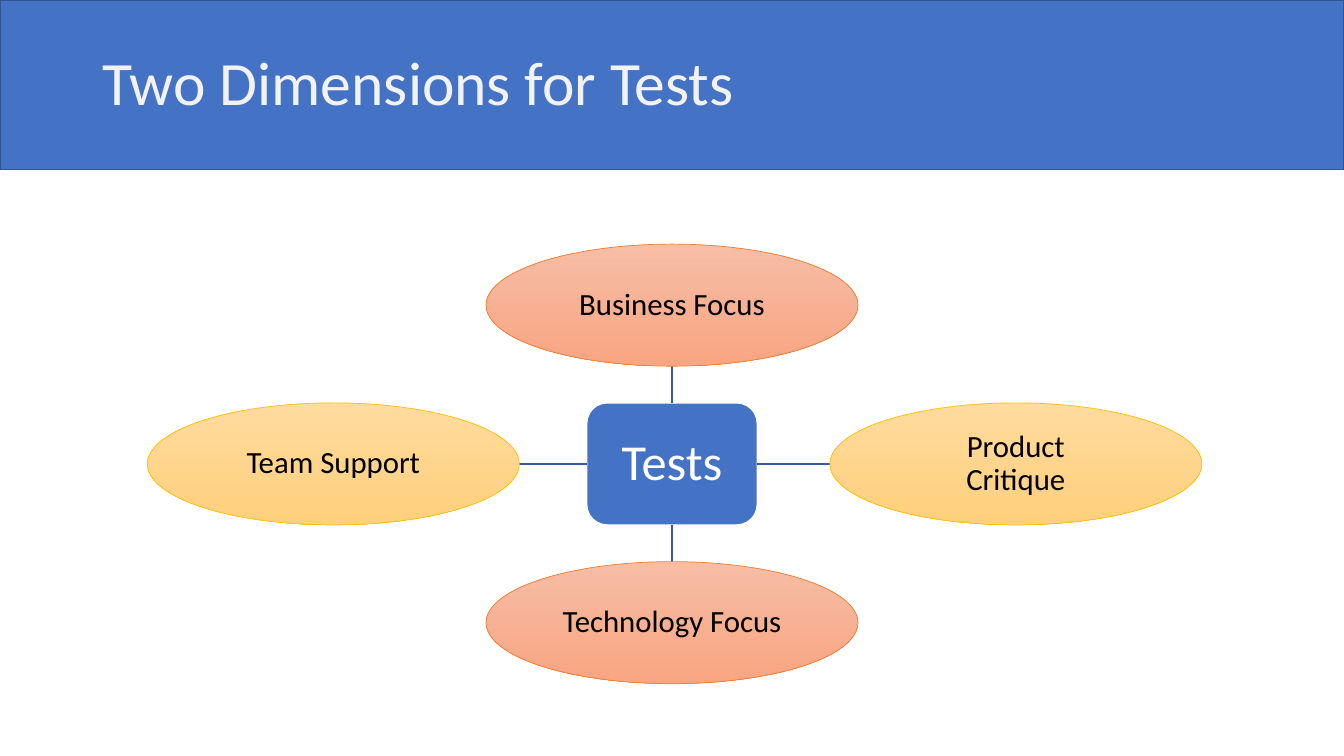
from lxml import etree
from pptx import Presentation
from pptx.dml.color import RGBColor
from pptx.enum.shapes import MSO_CONNECTOR, MSO_SHAPE
from pptx.enum.text import MSO_ANCHOR, PP_ALIGN
from pptx.oxml.ns import qn
from pptx.util import Pt

RECT, ROUNDED, OVAL = MSO_SHAPE.RECTANGLE, MSO_SHAPE.ROUNDED_RECTANGLE, MSO_SHAPE.OVAL
STRAIGHT = MSO_CONNECTOR.STRAIGHT
MIDDLE = MSO_ANCHOR.MIDDLE
LEFT, CENTER = PP_ALIGN.LEFT, PP_ALIGN.CENTER

BLUE = RGBColor(0x44, 0x72, 0xC4)
BANNER_LINE = RGBColor(0x32, 0x54, 0x91)
LINK = RGBColor(0x36, 0x5B, 0x9D)
WHITE = RGBColor(0xFF, 0xFF, 0xFF)
OFF_WHITE = RGBColor(0xF2, 0xF2, 0xF2)
BLACK = RGBColor(0, 0, 0)
ORANGE = (RGBColor(0xF7, 0xBD, 0xA5), RGBColor(0xF8, 0xA5, 0x82), RGBColor(0xED, 0x7D, 0x31))
GOLD = (RGBColor(0xFF, 0xDB, 0x9E), RGBColor(0xFF, 0xD0, 0x7C), RGBColor(0xFF, 0xC0, 0x00))

CX, CY = 480, 331.4
BOX_W, OVAL_W, NODE_H = 121.8, 265.7, 87.2


class Deck:
    font = "Calibri"

    def __init__(self):
        self.prs = Presentation()
        self.prs.slide_width, self.prs.slide_height = Pt(960), Pt(540)
        self.s = self.prs.slides.add_slide(self.prs.slide_layouts[5])

    def text(self, sp, text, size, color, align=CENTER):
        tf = sp.text_frame
        tf.word_wrap = True
        tf.vertical_anchor = MIDDLE
        p = tf.paragraphs[0]
        p.alignment = align
        p.line_spacing = 0.9
        for i, line in enumerate(text.split("\n")):
            if i:
                p.add_line_break()
            r = p.add_run()
            r.text = line
            r.font.name, r.font.size = self.font, Pt(size)
            r.font.color.rgb = color

    def title(self, text, x, y, w, h):
        sp = self.s.shapes.title
        sp.left, sp.top, sp.width, sp.height = Pt(x), Pt(y), Pt(w), Pt(h)
        self.text(sp, text, 44, OFF_WHITE, LEFT)

    def shape(self, kind, x, y, w, h, line, weight):
        sp = self.s.shapes.add_shape(kind, Pt(x), Pt(y), Pt(w), Pt(h))
        sp.shadow.inherit = False
        sp.line.color.rgb = line
        sp.line.width = Pt(weight)
        return sp

    def banner(self, h):
        sp = self.shape(RECT, 0, 0, 960, h, BANNER_LINE, 1)
        sp.fill.solid()
        sp.fill.fore_color.rgb = BLUE
        self.s.shapes.title._element.addprevious(sp._element)

    def node(self, kind, text, cx, cy, w, size, color, line, weight, inset):
        sp = self.shape(kind, cx - w / 2, cy - NODE_H / 2, w, NODE_H, line, weight)
        tf = sp.text_frame
        tf.margin_left = tf.margin_right = tf.margin_top = tf.margin_bottom = Pt(inset)
        self.text(sp, text, size, color)
        return sp

    def hub(self, text):
        sp = self.node(ROUNDED, text, CX, CY, BOX_W, 36, WHITE, WHITE, 1, 2)
        sp.fill.solid()
        sp.fill.fore_color.rgb = BLUE

    def oval(self, text, cx, cy, colors):
        top, bottom, line = colors
        sp = self.node(OVAL, text, cx, cy, OVAL_W, 22, BLACK, line, 0.5, 1.4)
        sp.fill.gradient()
        sp.fill.gradient_angle = 270
        for stop, color in zip(sp.fill.gradient_stops, (top, bottom)):
            stop.color.rgb = color

    def link(self, x1, y1, x2, y2):
        c = self.s.shapes.add_connector(STRAIGHT, Pt(x1), Pt(y1), Pt(x2), Pt(y2))
        c.line.color.rgb = LINK
        c.line.width = Pt(1)
        etree.SubElement(c._element.spPr, qn("a:effectLst"))


def main():
    deck = Deck()
    deck.banner(121)
    deck.title("Two Dimensions for Tests", 66, 28.8, 828, 64.8)
    deck.hub("Tests")
    focuses = [
        ("Business Focus", 0, -113.4, ORANGE),
        ("Product\nCritique", 245.6, 0, GOLD),
        ("Technology Focus", 0, 113.4, ORANGE),
        ("Team Support", -241.9, 0, GOLD),
    ]
    for text, dx, dy, colors in focuses:
        ux, uy = (dx > 0) - (dx < 0), (dy > 0) - (dy < 0)
        deck.link(CX + ux * BOX_W / 2, CY + uy * NODE_H / 2,
                  CX + dx - ux * OVAL_W / 2, CY + dy - uy * NODE_H / 2)
        deck.oval(text, CX + dx, CY + dy, colors)
    deck.prs.save("out.pptx")


if __name__ == "__main__":
    main()
